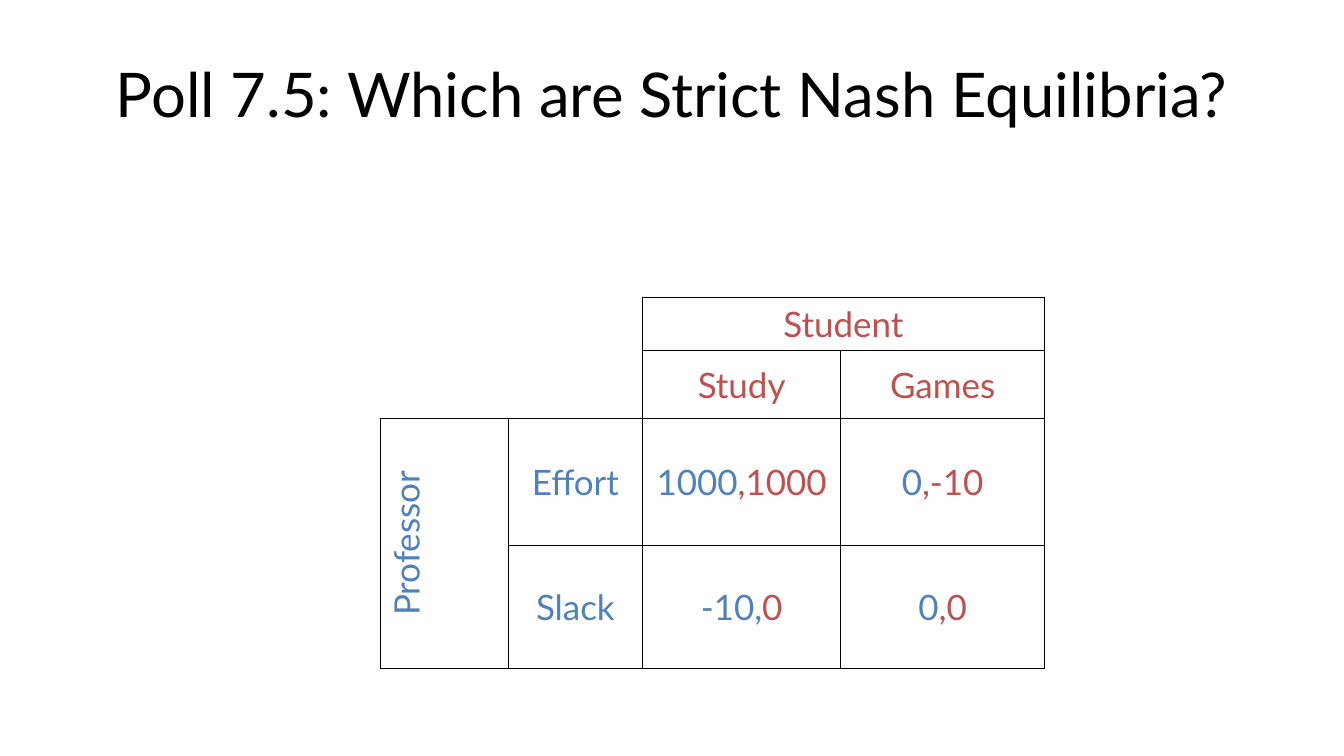
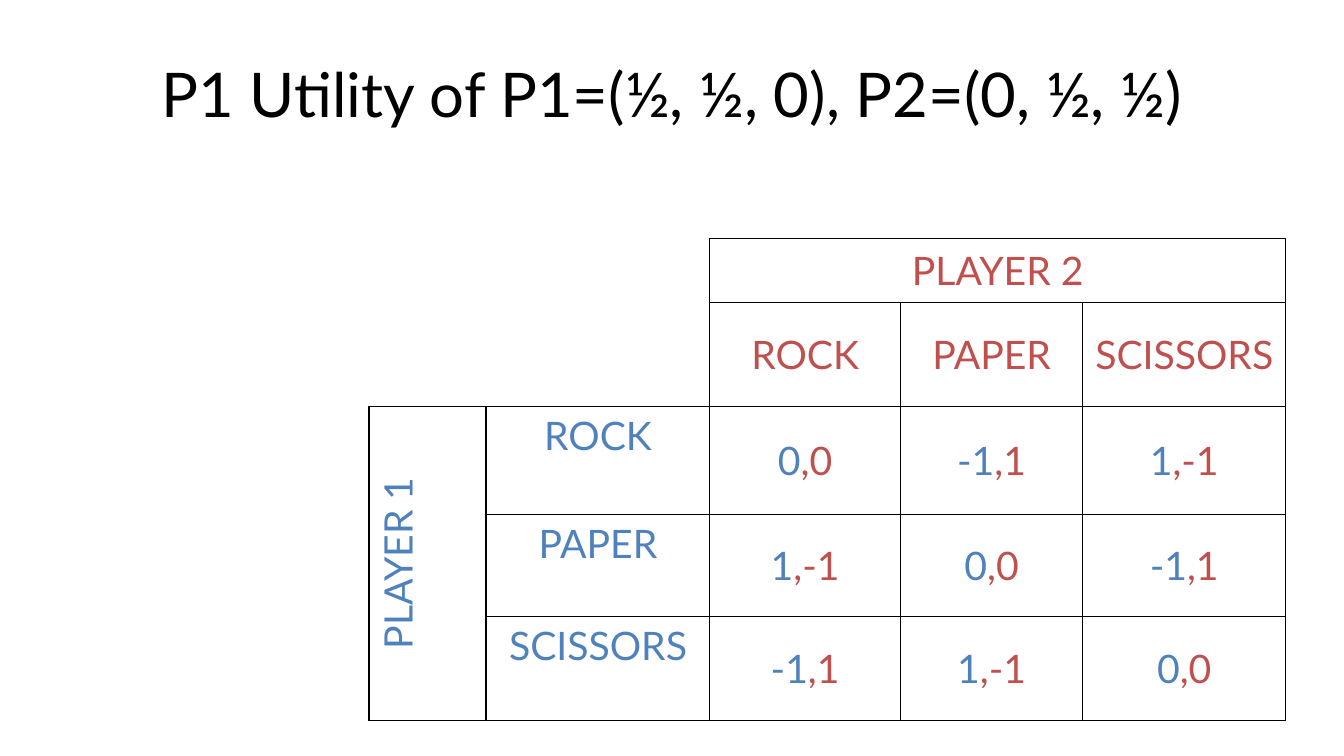
"""Build two slides that each show a two-player payoff matrix."""
from dataclasses import dataclass

from lxml.etree import SubElement
from pptx import Presentation
from pptx.dml.color import RGBColor as Rgb
from pptx.enum.text import MSO_ANCHOR as Anchor, PP_ALIGN as Align
from pptx.oxml.ns import qn
from pptx.util import Cm, Pt


@dataclass(frozen=True)
class Theme:
    font: str = "Lato"
    ink: str = "000000"
    row_player: str = "4F81BD"
    column_player: str = "C0504D"
    title_size: int = 44
    border: float = 1


THEME = Theme()
SLIDE_WIDTH, SLIDE_HEIGHT = 33.87, 19.05
TITLE_TOP, TITLE_HEIGHT = 0.76, 3.18
HEADERS = 2

GAMES = [
    {
        "title": "Poll 7.5: Which are Strict Nash Equilibria?",
        "title_width": 30.48,
        "origin": (9.58, 7.49),
        "columns": [3.23, 3.38, 5, 5.13],
        "rows": [1.35, 1.7, 3.2, 3.1],
        "size": 25,
        "label_anchor": Anchor.MIDDLE,
        "players": ("Professor", "Student"),
        "row_moves": ["Effort", "Slack"],
        "column_moves": ["Study", "Games"],
        "payoffs": [
            [("1000", ",1000"), ("0", ",-10")],
            [("-10,", "0"), ("0", ",0")],
        ],
    },
    {
        "title": "P1 Utility of P1=(½, ½, 0), P2=(0, ½, ½)",
        "title_width": SLIDE_WIDTH,
        "origin": (9.3, 6.02),
        "columns": [2.95, 5.64, 4.8, 4.6, 5.11],
        "rows": [1.6, 2.62, 2.72, 2.57, 2.62],
        "size": 28,
        "label_anchor": Anchor.TOP,
        "players": ("PLAYER 1", "PLAYER 2"),
        "row_moves": ["ROCK", "PAPER", "SCISSORS"],
        "column_moves": ["ROCK", "PAPER", "SCISSORS"],
        "payoffs": [
            [("0", ",0"), ("-1", ",1"), ("1", ",-1")],
            [("1", ",-1"), ("0", ",0"), ("-1", ",1")],
            [("-1", ",1"), ("1", ",-1"), ("0", ",0")],
        ],
    },
]


def write(frame, size, *parts):
    para = frame.paragraphs[0]
    para.alignment = Align.CENTER
    for text, color in parts:
        span = para.add_run()
        span.text = text
        for name, value in {"name": THEME.font, "size": Pt(size)}.items():
            setattr(span.font, name, value)
        span.font.color.rgb = Rgb.from_string(color)


def add_title(page, text, width):
    left = (SLIDE_WIDTH - width) / 2
    box = page.shapes.add_textbox(Cm(left), Cm(TITLE_TOP), Cm(width), Cm(TITLE_HEIGHT))
    frame = box.text_frame
    frame.word_wrap = True
    frame.vertical_anchor = Anchor.MIDDLE
    write(frame, THEME.title_size, (text, THEME.ink))


def set_borders(cell, visible):
    properties = cell._tc.get_or_add_tcPr()
    for side in "LRTB":
        line = SubElement(properties, qn(f"a:ln{side}"), w=str(Pt(THEME.border)))
        if side in visible:
            fill = SubElement(line, qn("a:solidFill"))
            SubElement(fill, qn("a:srgbClr"), val=THEME.ink)
        else:
            SubElement(line, qn("a:noFill"))


def add_matrix(page, game):
    widths, heights = game["columns"], game["rows"]
    bounds = [Cm(value) for value in (*game["origin"], sum(widths), sum(heights))]
    table = page.shapes.add_table(len(heights), len(widths), *bounds).table
    table.first_row = table.horz_banding = False
    for column, width in zip(table.columns, widths):
        column.width = Cm(width)
    for row, height in zip(table.rows, heights):
        row.height = Cm(height)

    for r in range(len(heights)):
        for c in range(len(widths)):
            cell = table.cell(r, c)
            set_borders(cell, "RB" if r < HEADERS and c < HEADERS else "LRTB")
            cell.fill.background()
            cell.vertical_anchor = Anchor.MIDDLE

    last_row, last_column = len(heights) - 1, len(widths) - 1
    for start, end in [
        ((0, 0), (HEADERS - 1, HEADERS - 1)),
        ((0, HEADERS), (0, last_column)),
        ((HEADERS, 0), (last_row, 0)),
    ]:
        table.cell(*start).merge(table.cell(*end))

    def put(r, c, *parts):
        cell = table.cell(r, c)
        write(cell.text_frame, game["size"], *parts)
        return cell

    blue, red = THEME.row_player, THEME.column_player
    row_player, column_player = game["players"]
    put(0, HEADERS, (column_player, red))
    side = put(HEADERS, 0, (row_player, blue))
    side._tc.get_or_add_tcPr().set("vert", "vert270")
    for c, move in enumerate(game["column_moves"], HEADERS):
        put(1, c, (move, red))
    for r, (move, payoffs) in enumerate(zip(game["row_moves"], game["payoffs"]), HEADERS):
        put(r, 1, (move, blue)).vertical_anchor = game["label_anchor"]
        for c, (own, other) in enumerate(payoffs, HEADERS):
            put(r, c, (own, blue), (other, red))


def main():
    deck = Presentation()
    deck.slide_width, deck.slide_height = Cm(SLIDE_WIDTH), Cm(SLIDE_HEIGHT)
    for game in GAMES:
        page = deck.slides.add_slide(deck.slide_layouts[6])
        add_title(page, game["title"], game["title_width"])
        add_matrix(page, game)
    deck.save("out.pptx")


if __name__ == "__main__":
    main()
